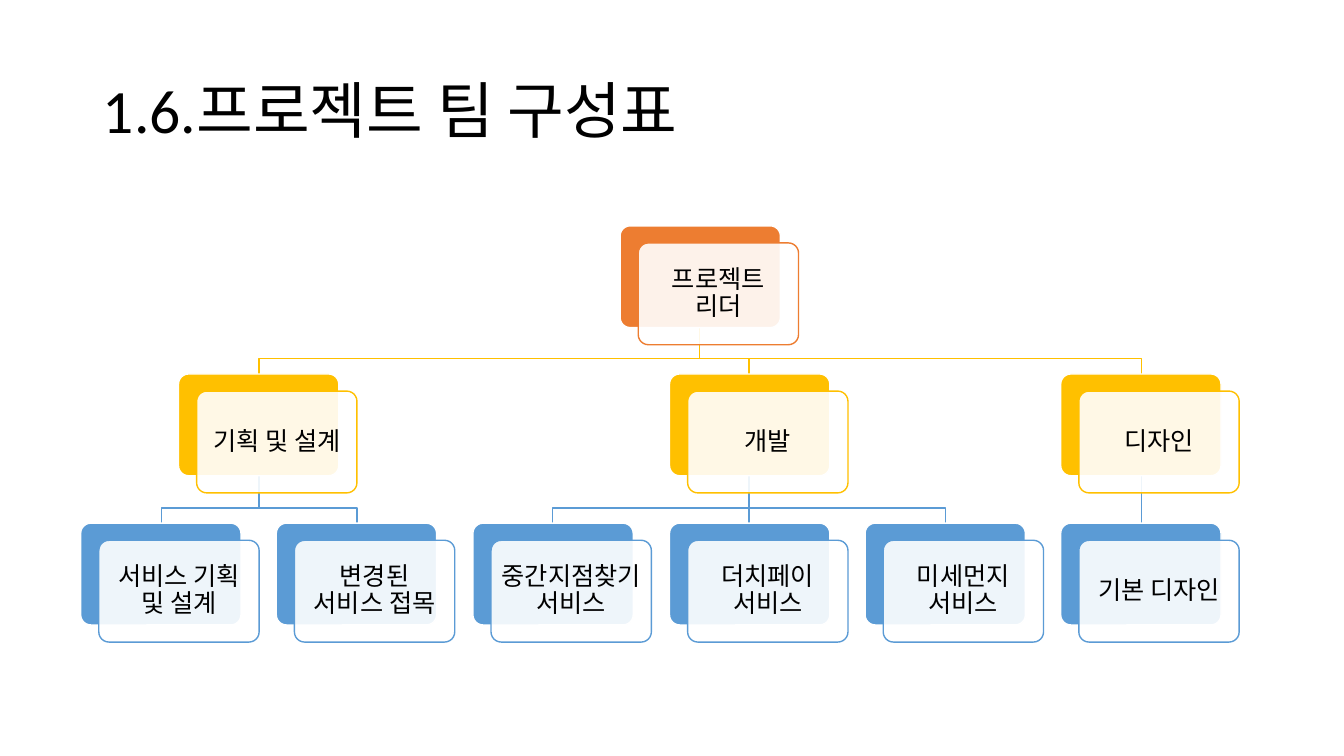
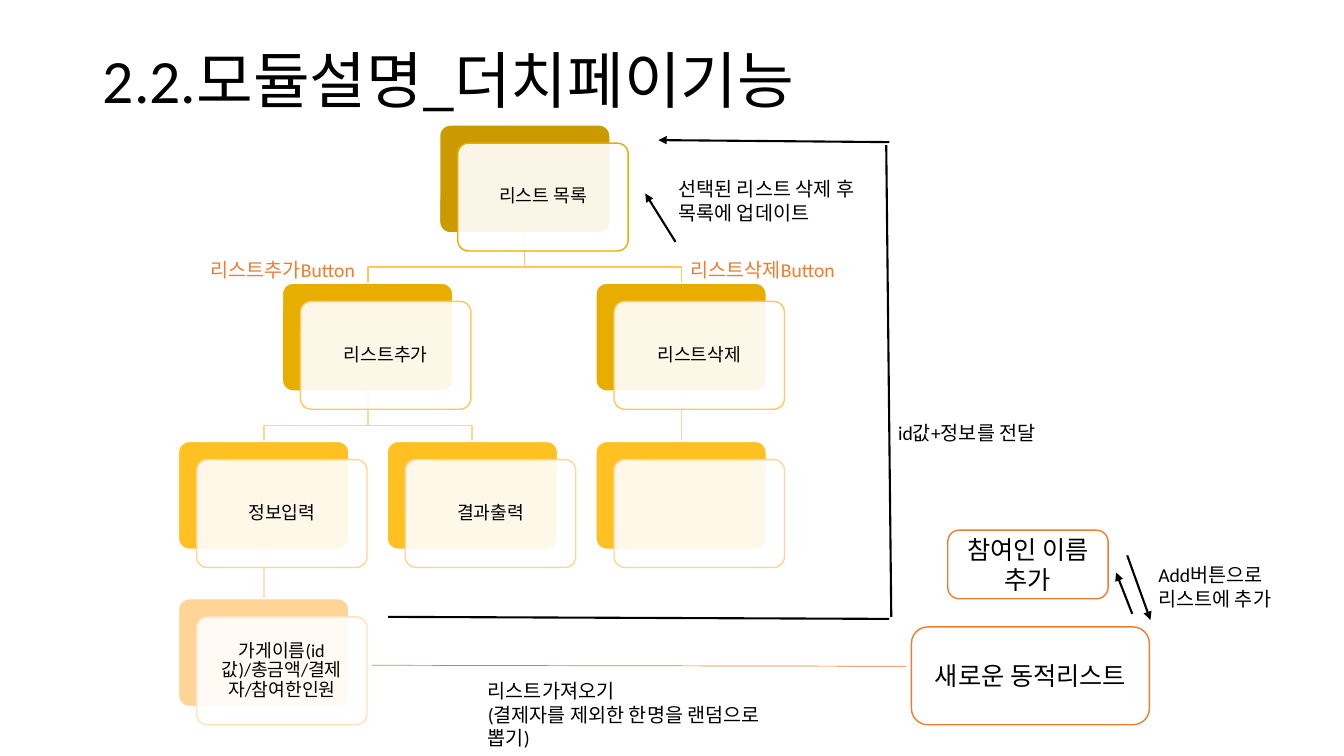
from dataclasses import dataclass
from typing import Optional

import pptx
import pptx.util
import pptx.dml.color
import pptx.enum.shapes
import pptx.enum.text
import pptx.oxml
import pptx.oxml.ns

PX = 9144
FONT = "Calibri"
COLORS = {
    "black": "000000", "white": "FFFFFF", "orange": "ED7D31",
    "gold": "FFC000", "blue": "5B9BD5", "bronze": "CC9A00",
    "amber": "E7AE00", "yellow": "FFC122", "honey": "FFC75E",
    "peach": "FFD597", "cream": "FFE2BD",
}
SHAPE = pptx.enum.shapes.MSO_SHAPE.ROUNDED_RECTANGLE
STRAIGHT = pptx.enum.shapes.MSO_CONNECTOR.STRAIGHT
ALIGN = pptx.enum.text.PP_ALIGN
MIDDLE = pptx.enum.text.MSO_ANCHOR.MIDDLE


@dataclass(frozen=True)
class Level:
    top: int
    fill: str
    outline: str


@dataclass(frozen=True)
class Node:
    text: str
    level: int
    col: float
    parent: Optional[int] = None


@dataclass(frozen=True)
class Tree:
    left: int
    pitch: float
    width: int
    height: int
    dx: int
    dy: int
    bend: int
    margin: int
    size: int
    levels: list[Level]
    nodes: list[Node]


@dataclass(frozen=True)
class Box:
    text: str
    x: int
    y: int
    w: int
    h: int
    color: str = "black"


@dataclass(frozen=True)
class Line:
    x1: int
    y1: int
    x2: int
    y2: int
    color: str = "black"
    width: float = 1.5
    arrow: bool = False


TEAM = Tree(
    80, 194.5, 159, 101, 18, 17, 15, 7, 18,
    [Level(224, "orange", "orange"), Level(371, "gold", "gold"),
     Level(519, "blue", "blue")],
    [
        Node("프로젝트 리더", 0, 2.75),
        Node("기획 및 설계", 1, 0.5, 0),
        Node("서비스 기획 및 설계", 2, 0, 1),
        Node("변경된 서비스 접목", 2, 1, 1),
        Node("개발", 1, 3, 0),
        Node("중간지점찾기 서비스", 2, 2, 4),
        Node("더치페이 서비스", 2, 3, 4),
        Node("미세먼지 서비스", 2, 4, 4),
        Node("디자인", 1, 5, 0),
        Node("기본 디자인", 2, 5, 8),
    ],
)
MODULE = Tree(
    177, 207, 169, 107, 18, 18, 16, 5, 13,
    [Level(124, "bronze", "amber"), Level(281, "amber", "honey"),
     Level(438, "yellow", "peach"), Level(594, "peach", "cream")],
    [
        Node("리스트 목록", 0, 1.25),
        Node("리스트추가", 1, 0.5, 0),
        Node("정보입력", 2, 0, 1),
        Node("가게이름(id값)/총금액/결제자/참여한인원", 3, 0, 2),
        Node("결과출력", 2, 1, 1),
        Node("리스트삭제", 1, 2, 0),
        Node("", 2, 2, 5),
    ],
)
LABELS = [
    Box("리스트추가Button", 199, 251, 300, 34, "orange"),
    Box("리스트삭제Button", 675, 251, 300, 34, "orange"),
    Box("선택된 리스트 삭제 후\n목록에 업데이트", 663, 171, 300, 57),
    Box("id값+정보를 전달", 881, 413, 300, 34),
    Box("리스트가져오기\n(결제자를 제외한 한명을 랜덤으로 뽑기)", 474, 669, 300, 81),
    Box("Add버튼으로\n리스트에 추가", 1139, 554, 300, 57),
]
LIST_BOXES = [
    Box("새로운 동적리스트", 904, 622, 236, 97),
    Box("참여인 이름 추가", 940, 526, 159, 68),
]
LINES = [
    Line(670, 240, 640, 192, arrow=True),
    Line(882, 141, 653, 139, arrow=True),
    Line(879, 144, 884, 612),
    Line(882, 614, 385, 612),
    Line(899, 661, 369, 660, "orange", 0.5),
    Line(1123, 609, 1107, 568, arrow=True),
    Line(1118, 551, 1141, 615, arrow=True),
]


def px(n: float) -> int:
    return round(n) * PX


def rgb(name: str) -> pptx.dml.color.RGBColor:
    return pptx.dml.color.RGBColor.from_string(COLORS[name])


def set_line(s, color: str, width: float = 1) -> None:
    s.line.color.rgb = rgb(color)
    s.line.width = pptx.util.Pt(width)


def write(s, text: str, size: int, color: str = "black",
          align=ALIGN.LEFT, spacing: float = 1) -> None:
    tf = s.text_frame
    tf.text = text
    tf.word_wrap = True
    for p in tf.paragraphs:
        p.alignment = align
        p.line_spacing = spacing
        for r in p.runs:
            r.font.size = pptx.util.Pt(size)
            r.font.name = FONT
            r.font.color.rgb = rgb(color)


def add_line(slide, line: Line) -> None:
    s = slide.shapes.add_connector(
        STRAIGHT, px(line.x1), px(line.y1), px(line.x2), px(line.y2))
    set_line(s, line.color, line.width)
    if line.arrow:
        ln = s.line._get_or_add_ln()
        ln.append(pptx.oxml.parse_xml(
            f'<a:tailEnd {pptx.oxml.ns.nsdecls("a")} type="triangle"/>'))
    s._element.spPr.append(
        pptx.oxml.parse_xml(f'<a:effectLst {pptx.oxml.ns.nsdecls("a")}/>'))


def add_round(slide, x: float, y: float, w: int, h: int,
              fill: str, outline: str):
    s = slide.shapes.add_shape(SHAPE, px(x), px(y), px(w), px(h))
    s.shadow.inherit = False
    s.fill.solid()
    s.fill.fore_color.rgb = rgb(fill)
    set_line(s, outline)
    return s


def add_branch(slide, tree: Tree, parent: Node, child: Node) -> None:
    x1, x2 = (round(tree.left + n.col * tree.pitch + tree.width / 2)
              for n in (parent, child))
    y1 = tree.levels[parent.level].top + tree.height
    level = tree.levels[child.level]
    if x1 == x2:
        add_line(slide, Line(x1, y1, x2, level.top, level.outline, 1))
        return
    bend = level.top - tree.bend
    builder = slide.shapes.build_freeform(x1, y1, scale=PX)
    builder.add_line_segments(
        [(x1, bend), (x2, bend), (x2, level.top)], close=False)
    s = builder.convert_to_shape()
    s.shadow.inherit = False
    s.fill.background()
    set_line(s, level.outline)


def add_card(slide, tree: Tree, node: Node) -> None:
    level = tree.levels[node.level]
    x = tree.left + node.col * tree.pitch
    size = tree.width, tree.height
    back = add_round(slide, x, level.top, *size, level.fill, "white")
    front = add_round(slide, x + tree.dx, level.top + tree.dy, *size,
                      "white", level.outline)
    for s in (back, front):
        s.adjustments[0] = 0.1
    clr = front.fill._xPr.find(".//" + pptx.oxml.ns.qn("a:srgbClr"))
    clr.append(pptx.oxml.parse_xml(
        f'<a:alpha {pptx.oxml.ns.nsdecls("a")} val="90000"/>'))
    if node.text:
        write(front, node.text, tree.size, align=ALIGN.CENTER, spacing=0.9)
        tf = front.text_frame
        tf.vertical_anchor = MIDDLE
        tf.margin_left = tf.margin_right = px(tree.margin)
        tf.margin_top = tf.margin_bottom = px(tree.margin)


def add_tree(slide, tree: Tree) -> None:
    for node in tree.nodes:
        if node.parent is not None:
            add_branch(slide, tree, tree.nodes[node.parent], node)
    for node in tree.nodes:
        add_card(slide, tree, node)


def add_slide(prs, title: str, top: int):
    slide = prs.slides.add_slide(prs.slide_layouts[5])
    s = slide.shapes.title
    s.left, s.top, s.width, s.height = px(92), px(top), px(1150), px(145)
    write(s, title, 44, spacing=0.9)
    s.text_frame.vertical_anchor = MIDDLE
    return slide


def add_label(slide, box: Box) -> None:
    s = slide.shapes.add_textbox(px(box.x), px(box.y), px(box.w), px(box.h))
    write(s, box.text, 14, box.color)


def add_list_box(slide, box: Box) -> None:
    s = add_round(slide, box.x, box.y, box.w, box.h, "white", "orange")
    write(s, box.text, 18, box.color, ALIGN.CENTER)
    s.text_frame.vertical_anchor = MIDDLE


def main() -> None:
    prs = pptx.Presentation()
    prs.slide_width, prs.slide_height = px(1333), px(750)

    add_tree(add_slide(prs, "1.6.프로젝트 팀 구성표", 40), TEAM)

    slide = add_slide(prs, "2.2.모듈설명_더치페이기능", 10)
    add_tree(slide, MODULE)
    for line in LINES:
        add_line(slide, line)
    for box in LIST_BOXES:
        add_list_box(slide, box)
    for label in LABELS:
        add_label(slide, label)

    prs.save("out.pptx")


if __name__ == "__main__":
    main()
